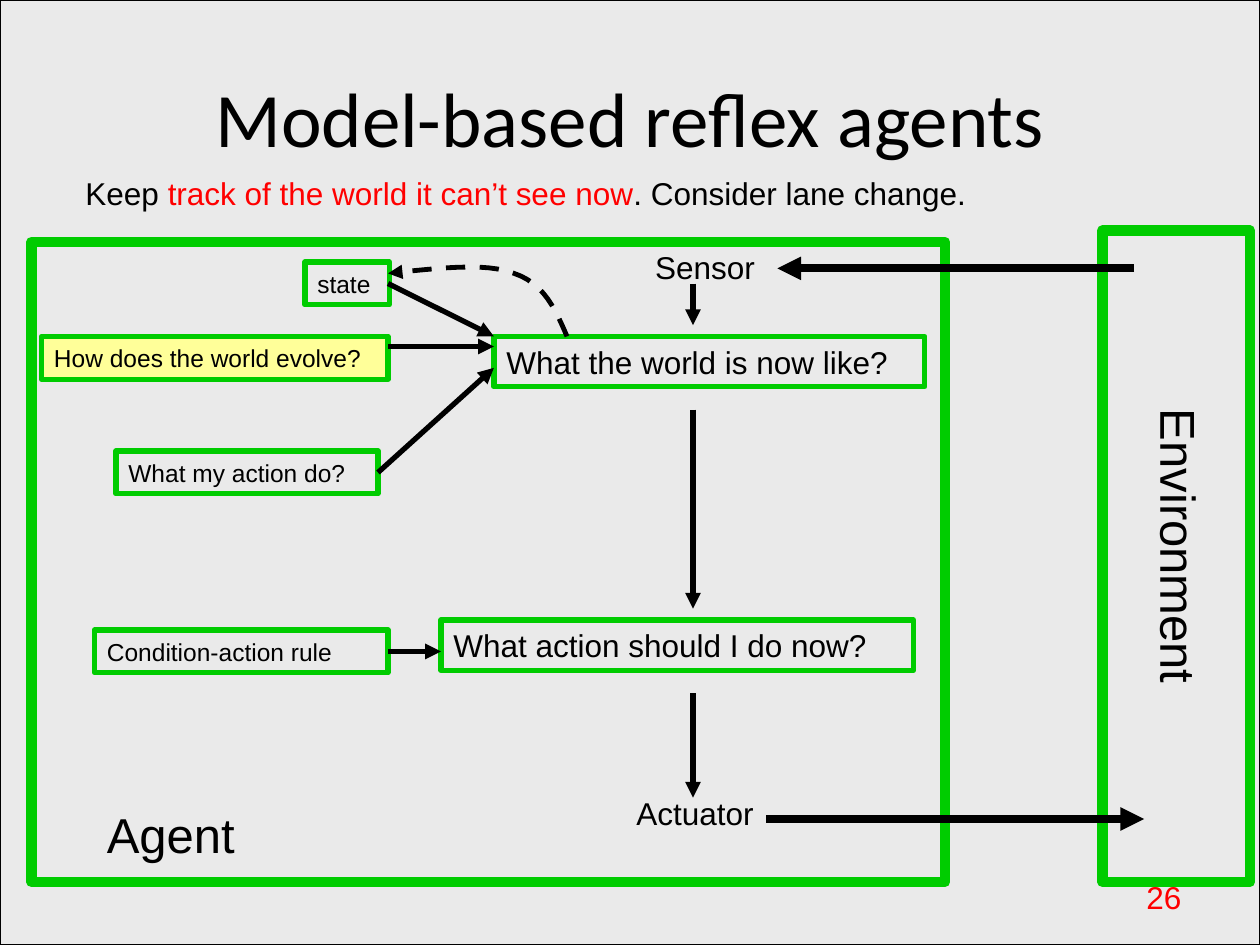
from dataclasses import dataclass
from typing import Optional

from lxml.etree import SubElement
from pptx import Presentation
from pptx.dml.color import RGBColor
from pptx.enum.dml import MSO_LINE
from pptx.enum.shapes import MSO_CONNECTOR, MSO_SHAPE
from pptx.enum.text import MSO_ANCHOR, PP_ALIGN
from pptx.oxml.ns import qn
from pptx.util import Inches, Pt

BLACK = RGBColor(0x00, 0x00, 0x00)
RED = RGBColor(0xFF, 0x00, 0x00)
GREEN = RGBColor(0x00, 0xCC, 0x00)
YELLOW = RGBColor(0xFF, 0xFF, 0x99)
GRAY = RGBColor(0xEA, 0xEA, 0xEA)

Point = tuple[float, float]


@dataclass
class Step:
    text: str
    left: float
    top: float
    width: float
    height: float = 0.34
    size: int = 14
    fill: Optional[RGBColor] = None


@dataclass
class Label:
    text: str
    left: float
    top: float
    width: float
    height: float = 0.4
    size: int = 18
    align: PP_ALIGN = PP_ALIGN.LEFT
    color: RGBColor = BLACK
    font: str = "Arial"
    rotation: int = 0


@dataclass
class Arrow:
    start: Point
    end: Point
    weight: float = 3


STEPS = [
    Step("What the world is now like?", 3.92, 2.67, 3.42, 0.4, 18),
    Step("What action should I do now?", 3.5, 4.92, 3.75, 0.4, 18),
    Step("state", 2.42, 2.08, 0.67),
    Step("How does the world evolve?", 0.33, 2.67, 2.75, fill=YELLOW),
    Step("What my action do?", 0.92, 3.58, 2.08),
    Step("Condition-action rule", 0.75, 5, 2.33),
]

LABELS = [
    Label("26", 9, 6.92, 0.67, color=RED),
    Label("Model-based reflex agents", 0.5, 0.3, 9, 1.25, 44,
          PP_ALIGN.CENTER, font="Calibri"),
    Label("Environment", 7.95, 4.05, 2.83, 0.57, 28, PP_ALIGN.CENTER, rotation=90),
    Label("Agent", 0.75, 6.33, 1.25, 0.57, 28),
    Label("Sensor", 4.67, 1.92, 1.42, align=PP_ALIGN.RIGHT),
    Label("Actuator", 4.83, 6.25, 1.25, align=PP_ALIGN.RIGHT),
]

ARROWS = [
    Arrow((9, 2.13), (6.17, 2.13), 4.5),
    Arrow((6.08, 6.5), (9.08, 6.5), 4.5),
    Arrow((5.5, 5.5), (5.5, 6.33)),
    Arrow((5.5, 2.25), (5.5, 2.58)),
    Arrow((5.5, 3.25), (5.5, 4.83)),
    Arrow((3.08, 2.75), (3.92, 2.75)),
    Arrow((3.08, 5.17), (3.5, 5.17)),
    Arrow((3.08, 2.25), (3.92, 2.67)),
    Arrow((3, 3.75), (3.92, 2.92)),
]

FEEDBACK_CURVES = [
    ((4.5, 2.67), (4.41, 2.46), (4.32, 2.25), (4.08, 2.17)),
    ((4.08, 2.17), (3.85, 2.08), (3.47, 2.13), (3.08, 2.17)),
]


def write_text(shape, *runs: tuple[str, RGBColor], size: int = 18,
               font: str = "Arial", align: PP_ALIGN = PP_ALIGN.LEFT) -> None:
    frame = shape.text_frame
    frame.word_wrap = True
    frame.vertical_anchor = MSO_ANCHOR.MIDDLE
    paragraph = frame.paragraphs[0]
    paragraph.alignment = align
    for text, color in runs:
        run = paragraph.add_run()
        run.text = text
        run.font.size = Pt(size)
        run.font.name = font
        run.font.color.rgb = color


def add_box(slide, left: float, top: float, width: float, height: float,
            line: RGBColor, weight: float, fill: Optional[RGBColor] = None):
    box = slide.shapes.add_shape(MSO_SHAPE.RECTANGLE, Inches(left), Inches(top),
                                 Inches(width), Inches(height))
    box.shadow.inherit = False
    if fill is None:
        box.fill.background()
    else:
        box.fill.solid()
        box.fill.fore_color.rgb = fill
    box.line.color.rgb = line
    box.line.width = Pt(weight)
    return box


def add_step(slide, step: Step) -> None:
    box = add_box(slide, step.left, step.top, step.width, step.height,
                  GREEN, 3, step.fill)
    write_text(box, (step.text, BLACK), size=step.size)


def add_textbox(slide, left: float, top: float, width: float, height: float):
    return slide.shapes.add_textbox(Inches(left), Inches(top),
                                    Inches(width), Inches(height))


def add_label(slide, label: Label) -> None:
    box = add_textbox(slide, label.left, label.top, label.width, label.height)
    box.rotation = label.rotation
    write_text(box, (label.text, label.color), size=label.size,
               font=label.font, align=label.align)


def style_arrow(line, weight: float) -> None:
    line.color.rgb = BLACK
    line.width = Pt(weight)


def add_arrowhead(shape) -> None:
    outline = shape.line._get_or_add_ln()
    SubElement(outline, qn("a:tailEnd"), type="triangle")


def add_arrow(slide, arrow: Arrow) -> None:
    connector = slide.shapes.add_connector(
        MSO_CONNECTOR.STRAIGHT, *map(Inches, arrow.start + arrow.end))
    style_arrow(connector.line, arrow.weight)
    add_arrowhead(connector)
    SubElement(connector._element.spPr, qn("a:effectLst"))


def bezier_point(curve: tuple[Point, ...], t: float) -> Point:
    weights = ((1 - t) ** 3, 3 * t * (1 - t) ** 2, 3 * t ** 2 * (1 - t), t ** 3)
    return (sum(w * x for w, (x, _) in zip(weights, curve)),
            sum(w * y for w, (_, y) in zip(weights, curve)))


def add_feedback(slide, steps: int = 12) -> None:
    """Draw the dashed curve from the world model back to the state."""
    points = [bezier_point(curve, i / steps)
              for curve in FEEDBACK_CURVES for i in range(1, steps + 1)]
    builder = slide.shapes.build_freeform(*map(Inches, FEEDBACK_CURVES[0][0]))
    builder.add_line_segments([(Inches(x), Inches(y)) for x, y in points], close=False)
    feedback = builder.convert_to_shape()
    feedback.shadow.inherit = False
    feedback.fill.background()
    style_arrow(feedback.line, 2.75)
    feedback.line.dash_style = MSO_LINE.DASH
    add_arrowhead(feedback)


def main() -> None:
    presentation = Presentation()
    presentation.slide_width = Inches(10)
    presentation.slide_height = Inches(7.5)
    slide = presentation.slides.add_slide(presentation.slide_layouts[6])

    add_box(slide, 0, 0, 10, 7.5, BLACK, 0.75, GRAY)
    add_box(slide, 0.25, 1.92, 7.25, 5.08, GREEN, 6)
    add_box(slide, 8.75, 1.83, 1.17, 5.17, GREEN, 6)
    for label in LABELS:
        add_label(slide, label)
    for step in STEPS:
        add_step(slide, step)
    for arrow in ARROWS:
        add_arrow(slide, arrow)
    add_feedback(slide)

    summary = add_textbox(slide, 0.58, 1.33, 8.58, 0.4)
    write_text(summary, ("Keep ", BLACK), ("track of the world it can’t see now", RED),
               (". Consider lane change.", BLACK))
    presentation.save("out.pptx")


if __name__ == "__main__":
    main()
